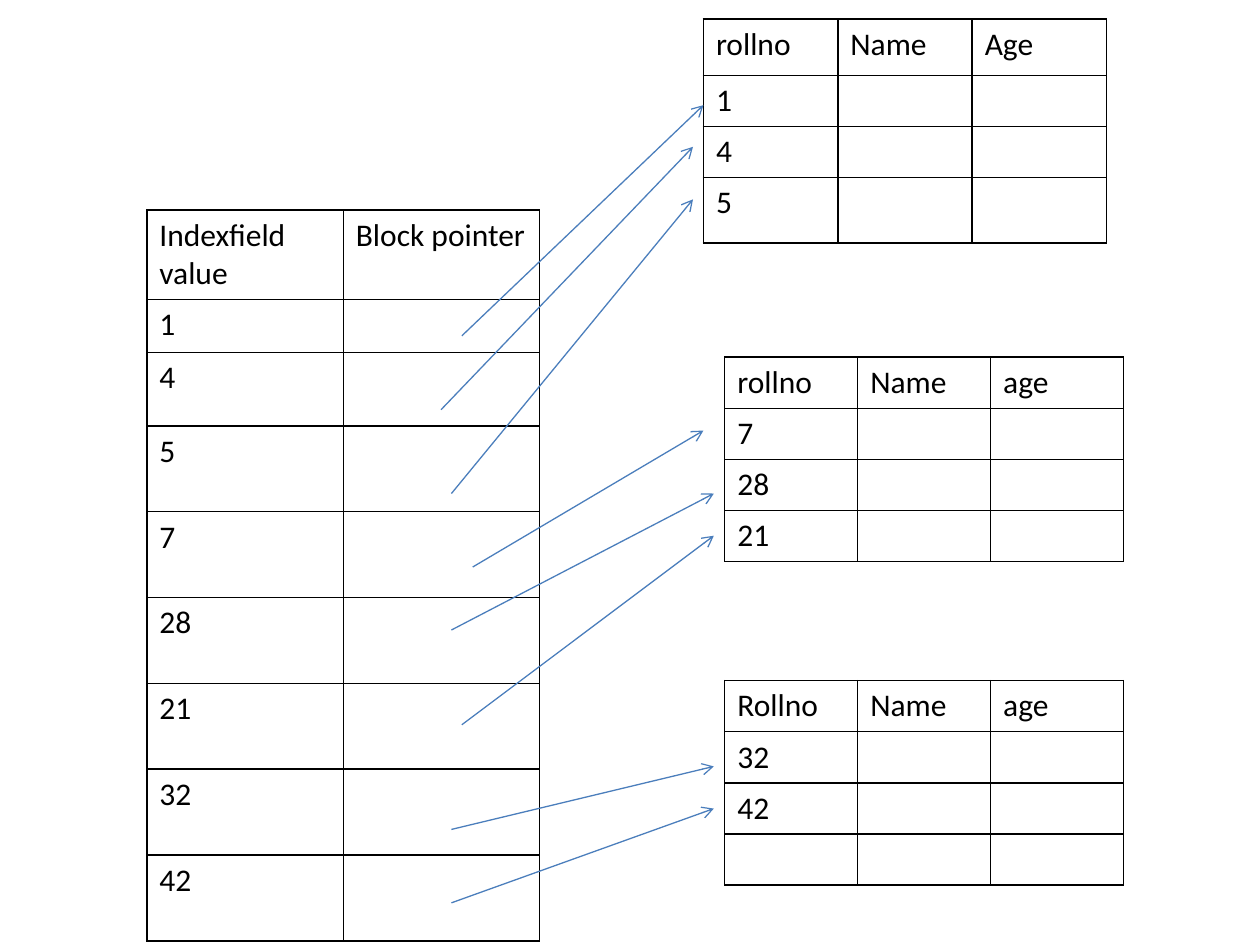
from lxml.etree import SubElement
from pptx import Presentation
from pptx.dml.color import RGBColor
from pptx.enum.shapes import MSO_CONNECTOR
from pptx.oxml.ns import qn
from pptx.util import Cm, Pt

COLORS = {"text": "000000", "border": "000000", "arrow": "4B7EBC"}


class IndexSlide:
    """Holds the style and the current slide."""

    font_name = "Calibri"
    font_size = Pt(18)
    border_width = Pt(1)
    arrow_width = Pt(0.75)

    def __init__(self, presentation):
        self.slide = presentation.slides.add_slide(presentation.slide_layouts[6])

    def add_borders(self, cell):
        properties = cell._tc.get_or_add_tcPr()
        for position, side in enumerate(("lnL", "lnR", "lnT", "lnB")):
            line = SubElement(properties, qn(f"a:{side}"), w=str(self.border_width))
            fill = SubElement(line, qn("a:solidFill"))
            SubElement(fill, qn("a:srgbClr"), val=COLORS["border"])
            # Borders come before the cell fill
            properties.insert(position, line)

    def add_table(self, left, top, column_width, height, row_heights, headers, keys):
        """Draw a grid with the keys in its first column."""
        shape = self.slide.shapes.add_table(
            len(row_heights), len(headers), Cm(left), Cm(top),
            Cm(column_width * len(headers)), Cm(height))
        table = shape.table
        table.first_row = table.horz_banding = False
        for row, row_height in zip(table.rows, row_heights):
            row.height = Cm(row_height)
        shape.height = Cm(height)

        for column, header in enumerate(headers):
            table.cell(0, column).text_frame.text = header
        for row, key in enumerate(keys, start=1):
            table.cell(row, 0).text_frame.text = str(key)

        for cell in table.iter_cells():
            cell.fill.background()
            self.add_borders(cell)
            font = cell.text_frame.paragraphs[0].font
            font.size = self.font_size
            for run in cell.text_frame.paragraphs[0].runs:
                run.font.name = self.font_name
                run.font.size = self.font_size
                run.font.color.rgb = RGBColor.from_string(COLORS["text"])

    def add_arrow(self, start, end):
        connector = self.slide.shapes.add_connector(
            MSO_CONNECTOR.STRAIGHT, *(Cm(value) for value in start + end))
        connector.line.color.rgb = RGBColor.from_string(COLORS["arrow"])
        connector.line.width = self.arrow_width
        SubElement(connector.line._get_or_add_ln(), qn("a:tailEnd"), type="arrow")
        SubElement(connector._element.spPr, qn("a:effectLst"))


def main():
    presentation = Presentation()
    presentation.slide_width = Cm(25.4)
    presentation.slide_height = Cm(19.05)
    index_slide = IndexSlide(presentation)

    # Index with one entry per record
    index_slide.add_table(
        2.96, 4.23, 3.96, 14.61, [1.3, 1.07, 1.48] + [1.73] * 6,
        ["Indexfield value", "Block pointer"], [1, 4, 5, 7, 28, 21, 32, 42])

    # Data blocks
    index_slide.add_table(14.18, 0.38, 2.71, 4.47, [1.14, 0.66, 0.76, 1.32],
                          ["rollno", "Name", "Age"], [1, 4, 5])
    index_slide.add_table(14.61, 7.2, 2.68, 4.06, [0.88] * 4,
                          ["rollno", "Name", "age"], [7, 28, 21])
    index_slide.add_table(14.61, 13.72, 2.68, 4.06, [0.88] * 4,
                          ["Rollno", "Name", "age"], [32, 42])

    # Pointers from the index to the records
    pointers = [
        ((9.31, 6.77), (14.18, 2.12)),
        ((8.89, 8.26), (13.97, 2.96)),
        ((9.1, 9.95), (13.97, 4.02)),
        ((9.53, 11.43), (14.18, 8.68)),
        ((9.1, 12.7), (14.39, 9.95)),
        ((9.31, 14.61), (14.39, 10.8)),
        ((9.1, 16.72), (14.39, 15.45)),
        ((9.1, 18.2), (14.39, 16.3)),
    ]
    for start, end in pointers:
        index_slide.add_arrow(start, end)

    presentation.save("out.pptx")


if __name__ == "__main__":
    main()
